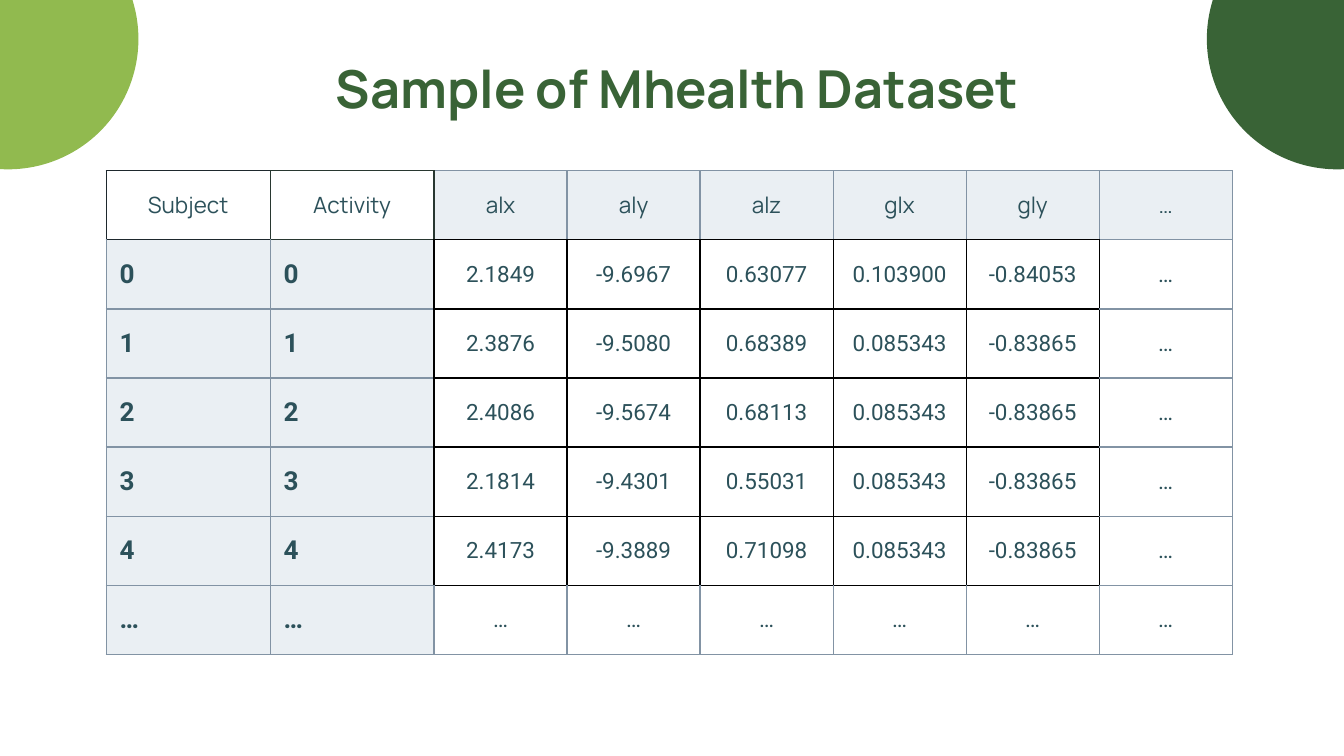
from lxml import etree
from pptx import Presentation
from pptx.dml.color import RGBColor
from pptx.enum import shapes, text
from pptx.oxml import ns
from pptx.util import Inches, Pt

WHITE = RGBColor(0xFF, 0xFF, 0xFF)
PALE = RGBColor(0xEA, 0xEF, 0xF3)
TEAL = RGBColor(0x2C, 0x51, 0x5A)
GREEN = RGBColor(0x39, 0x63, 0x36)
LIME = RGBColor(0x91, 0xBA, 0x4F)
GREY = RGBColor(0x82, 0x93, 0xA4)
BLACK = RGBColor(0x00, 0x00, 0x00)
INK = RGBColor(0x1E, 0x28, 0x2D)
PINE = RGBColor(0x28, 0x37, 0x30)
RANK = [GREY, BLACK, INK, PINE]

HEAD = ["Subject", "Activity", "alx", "aly", "alz", "glx", "gly", "…"]
DATA = [
    ["2.1849", "-9.6967", "0.63077", "0.103900", "-0.84053"],
    ["2.3876", "-9.5080", "0.68389", "0.085343", "-0.83865"],
    ["2.4086", "-9.5674", "0.68113", "0.085343", "-0.83865"],
    ["2.1814", "-9.4301", "0.55031", "0.085343", "-0.83865"],
    ["2.4173", "-9.3889", "0.71098", "0.085343", "-0.83865"],
]
SIDES = {"L": (0, -1), "R": (0, 1), "T": (-1, 0), "B": (1, 0)}


def write(frame, words, font="Roboto", size=12, color=TEAL, bold=False,
          align=text.PP_ALIGN.CENTER):
    """Put one formatted paragraph into a text frame."""
    para = frame.paragraphs[0]
    para.alignment = align
    run = para.add_run()
    run.text = words
    run.font.name = font
    run.font.size = Pt(size)
    run.font.bold = bold
    run.font.color.rgb = color


def add_disc(slide, left, color):
    """Draw one corner circle."""
    disc = slide.shapes.add_shape(shapes.MSO_SHAPE.OVAL, Inches(left),
                                  Inches(-0.68), Inches(1.94), Inches(1.94))
    disc.shadow.inherit = False
    disc.fill.solid()
    disc.fill.fore_color.rgb = color
    disc.line.fill.background()


def set_title(slide, words):
    """Place and fill the title."""
    title = slide.shapes.title
    title.left, title.top = Inches(0.34), Inches(0.34)
    title.width, title.height = Inches(9.32), Inches(0.63)
    frame = title.text_frame
    frame.auto_size = text.MSO_AUTO_SIZE.NONE
    frame.vertical_anchor = text.MSO_ANCHOR.MIDDLE
    frame.margin_left = frame.margin_right = Inches(0.1)
    frame.margin_top = frame.margin_bottom = Inches(0.1)
    write(frame, words, font="Manrope", size=28, color=GREEN, bold=True)


def edge(row, col):
    """Give the border colour that a cell asks for."""
    if row == 0 and col in (0, 1):
        return (INK, PINE)[col]
    return BLACK if 1 <= row <= 5 and 2 <= col <= 6 else GREY


def add_lines(cell, row, col):
    """Border a cell, the stronger of two neighbours setting each side."""
    props = cell._tc.get_or_add_tcPr()
    for spot, (side, (down, across)) in enumerate(SIDES.items()):
        color = max(edge(row, col), edge(row + down, col + across),
                    key=RANK.index)
        line = etree.Element(ns.qn(f"a:ln{side}"), w=str(Pt(0.75)))
        fill = etree.SubElement(line, ns.qn("a:solidFill"))
        etree.SubElement(fill, ns.qn("a:srgbClr"), val=str(color))
        props.insert(spot, line)


def fill_cell(cell, words, row, col):
    """Style one cell by its place in the table."""
    side = col < 2
    cell.fill.solid()
    cell.fill.fore_color.rgb = PALE if (row == 0) != side else WHITE
    cell.vertical_anchor = text.MSO_ANCHOR.MIDDLE
    if row == 0:
        wide, high, look = 0.1, 0.07, {"font": "Manrope"}
    elif side:
        wide, high = 0.1, 0
        look = {"size": 14, "bold": True, "align": text.PP_ALIGN.LEFT}
    else:
        wide = high = 0 if words == "…" else 0.07
        look = {}
    cell.margin_left = cell.margin_right = Inches(wide)
    cell.margin_top = cell.margin_bottom = Inches(high)
    write(cell.text_frame, words, **look)
    add_lines(cell, row, col)


def add_grid(slide, rows):
    """Add the sample table."""
    widths = [1.22] * 2 + [0.99] * 6
    grid = slide.shapes.add_table(len(rows), len(widths), Inches(0.79),
                                  Inches(1.27), Inches(sum(widths)),
                                  Inches(3.6)).table
    grid.first_row = grid.horz_banding = False
    for column, width in zip(grid.columns, widths):
        column.width = Inches(width)
    for row, items in enumerate(rows):
        for col, words in enumerate(items):
            fill_cell(grid.cell(row, col), words, row, col)


def main():
    """Build and save the slide."""
    deck = Presentation()
    deck.slide_width, deck.slide_height = Inches(10), Inches(10 * 9 / 16)
    slide = deck.slides.add_slide(deck.slide_layouts[5])
    add_disc(slide, 8.98, GREEN)
    add_disc(slide, -0.91, LIME)
    set_title(slide, " Sample of Mhealth Dataset")
    body = [[str(n), str(n), *vals, "…"] for n, vals in enumerate(DATA)]
    add_grid(slide, [HEAD, *body, ["…"] * len(HEAD)])
    deck.save("out.pptx")


if __name__ == "__main__":
    main()
